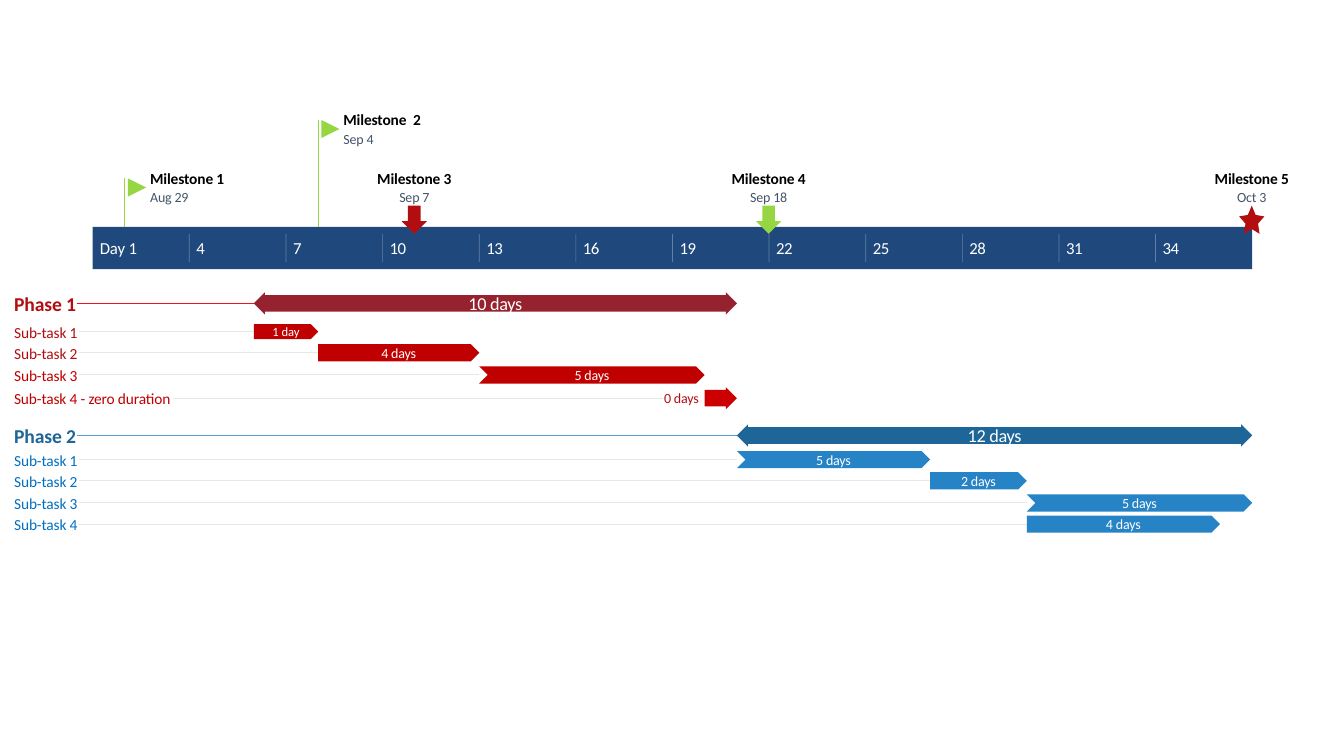
from lxml import etree
from pptx import Presentation
from pptx import util as u
from pptx.dml.color import RGBColor
from pptx.enum import shapes, text
from pptx.oxml import ns

MSO = shapes.MSO_SHAPE
LEFT, CENTER = text.PP_ALIGN.LEFT, text.PP_ALIGN.CENTER
rgb = RGBColor.from_string
RED, GREEN, BLUE = "B20E12", "96D642", "0070C0"

prs = Presentation()
prs.slide_width, prs.slide_height = u.Inches(13.33), u.Inches(7.5)
s = prs.slides.add_slide(prs.slide_layouts[6])


def add_shape(kind, x, y, w, h, color):
    sp = s.shapes.add_shape(kind, u.Inches(x), u.Inches(y), u.Inches(w), u.Inches(h))
    sp.shadow.inherit = False
    sp.fill.solid()
    sp.fill.fore_color.rgb = rgb(color)
    sp.line.fill.background()
    return sp


def add_text(words, x, y, w, h, size, color, align=LEFT, bold=False, spacing=-10):
    tf = s.shapes.add_textbox(u.Inches(x), u.Inches(y), u.Inches(w), u.Inches(h)).text_frame
    tf.margin_left = tf.margin_right = tf.margin_top = tf.margin_bottom = 0
    tf.word_wrap = False
    tf.vertical_anchor = text.MSO_ANCHOR.MIDDLE
    p = tf.paragraphs[0]
    p.alignment = align
    r = p.add_run()
    r.text = words
    r.font.name, r.font.size, r.font.bold = "Calibri", u.Pt(size), bold
    r.font.color.rgb = rgb(color)
    r._r.get_or_add_rPr().set("spc", str(spacing))


band_x, band_y, band_w, days = 0.92, 2.25, 11.5, 36
day_x = [band_x + band_w * d / days for d in range(days + 1)]

phases = [
    ("Phase 1", 5, 20, 3.01, "10 days", RED, "95222E", "EA161E"),
    ("Phase 2", 20, 36, 4.32, "12 days", "1E6598", "1E6598", "5B9BD5"),
]
tasks = [
    ("Sub-task 1", 5, 7, 3.29, MSO.PENTAGON, "1 day", RED, "C00000"),
    ("Sub-task 2", 7, 12, 3.5, MSO.PENTAGON, "4 days", RED, "C00000"),
    ("Sub-task 3", 12, 19, 3.72, MSO.CHEVRON, "5 days", "C00000", "C00000"),
    ("Sub-task 4 - zero duration", 19, 20, 3.95, MSO.RIGHT_ARROW, "0 days", "C00000", "CC0000"),
    ("Sub-task 1", 20, 26, 4.56, MSO.CHEVRON, "5 days", BLUE, "2683C6"),
    ("Sub-task 2", 26, 29, 4.77, MSO.PENTAGON, "2 days", BLUE, "2683C6"),
    ("Sub-task 3", 29, 36, 4.99, MSO.CHEVRON, "5 days", BLUE, "2683C6"),
    ("Sub-task 4", 29, 35, 5.2, MSO.PENTAGON, "4 days", BLUE, "2683C6"),
]
flags = [("Milestone 1", "Aug 29", 1, 1.67), ("Milestone  2", "Sep 4", 7, 1.09)]
markers = [
    ("Milestone 3", "Sep 7", 10, MSO.DOWN_ARROW, RED),
    ("Milestone 4", "Sep 18", 21, MSO.DOWN_ARROW, GREEN),
    ("Milestone 5", "Oct 3", 36, MSO.STAR_5_POINT, RED),
]

add_shape(MSO.RECTANGLE, band_x, band_y, band_w, 0.42, "1F497D")

lines = []
for name, start, end, y, length, color, fill, line_color in phases:
    lines.append((0.76, y, day_x[start], y, line_color, 0.75))
for name, start, end, y, kind, length, color, fill in tasks:
    zero = kind == MSO.RIGHT_ARROW
    x1, x2 = (1.72, 6.58) if zero else (0.78, day_x[start])
    lines.append((x1, y, x2, y, "E7E6E6", 0.75))
for name, date, day, y in flags:
    lines.append((day_x[day], y + 0.1, day_x[day], band_y, GREEN, 0.75))
for day in range(3, days, 3):
    lines.append((day_x[day], 2.32, day_x[day], 2.6, "FFFFFF", 0.5))

for x1, y1, x2, y2, color, width in lines:
    cx = s.shapes.add_connector(shapes.MSO_CONNECTOR.STRAIGHT, u.Inches(x1), u.Inches(y1),
                                u.Inches(x2), u.Inches(y2))
    cx.line.color.rgb = rgb(color)
    cx.line.width = u.Pt(width)
    spPr = cx._element.spPr
    etree.SubElement(spPr, ns.qn("a:effectLst"))
    if color == "FFFFFF":
        clr = spPr.find(".//" + ns.qn("a:srgbClr"))
        etree.SubElement(clr, ns.qn("a:alpha")).set("val", "30000")

for day in range(0, days, 3):
    words = str(day + 1) if day else "Day 1"
    add_text(words, day_x[day] + 0.07, 2.36, 0.085 * len(words), 0.2, 12, "FFFFFF",
             spacing=-30 if day else -10)

for name, date, day, y in flags:
    x = day_x[day]
    add_text(name, x + 0.25, y, 0.77, 0.19, 11, "000000", bold=True)
    add_text(date, x + 0.25, y + 0.2, 0.4, 0.17, 10, "44546A")
    add_shape(MSO.FLOWCHART_MERGE, x + 0.03, y + 0.1, 0.18, 0.18, GREEN).rotation = 270

for name, date, day, kind, color in markers:
    x = day_x[day]
    add_text(name, x - 0.38, 1.67, 0.75, 0.19, 11, "000000", CENTER, True)
    add_text(date, x - 0.2, 1.87, 0.39, 0.17, 10, "44546A", CENTER)
    sp = add_shape(kind, x - 0.13, 2.04, 0.25, 0.28, color)
    if kind == MSO.STAR_5_POINT:
        sp.adjustments[0] = 0.25

for name, start, end, y, length, color, fill, line_color in phases:
    x, w = day_x[start], day_x[end] - day_x[start]
    sp = add_shape(MSO.LEFT_RIGHT_ARROW, x, y - 0.11, w, 0.22, fill)
    sp.adjustments[0], sp.adjustments[1] = 0.75, 0.5
    add_text(length, x + w / 2 - 0.28, y - 0.11, 0.56, 0.22, 13, "FFFFFF", CENTER, spacing=-20)
    add_text(name, 0.14, y - 0.12, 0.62, 0.24, 14, color, bold=True)

for name, start, end, y, kind, length, color, fill in tasks:
    x, w = day_x[start], day_x[end] - day_x[start]
    zero, short = kind == MSO.RIGHT_ARROW, length == "1 day"
    h = 0.22 if zero else 0.15 if short else 0.17
    sp = add_shape(kind, x, y - h / 2, w, h, fill)
    if zero:
        sp.adjustments[0], sp.adjustments[1] = 0.75, 0.5
    middle = x - 0.23 if zero else x + w / 2
    add_text(length, middle - 0.18, y - 0.085, 0.36, 0.17, 9 if short else 10,
             RED if zero else "FFFFFF", CENTER, spacing=0 if short else -10)
    add_text(name, 0.14, y - 0.09, 1.6 if zero else 0.65, 0.19, 11, color)

prs.save("out.pptx")
